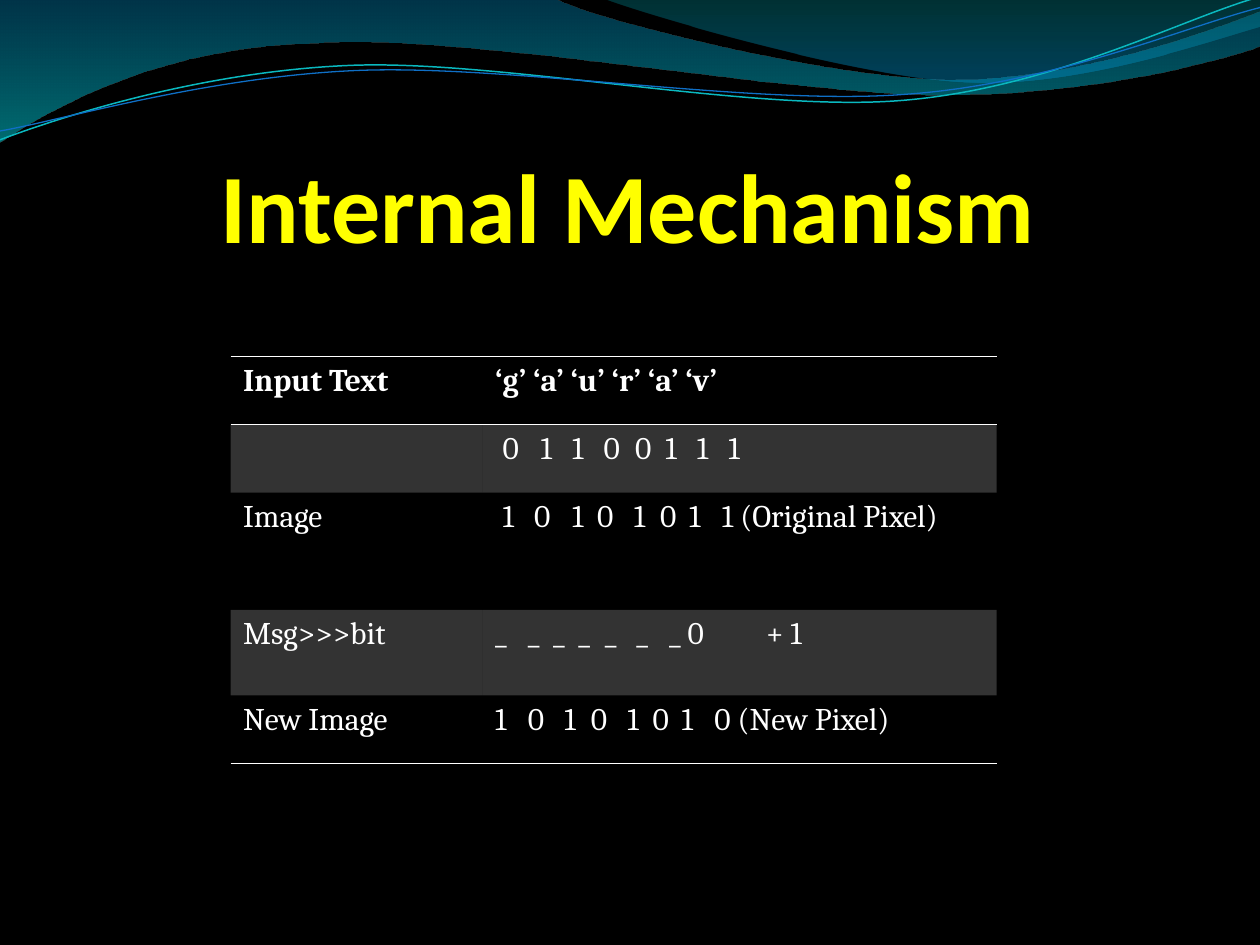
from dataclasses import dataclass

from lxml.etree import SubElement
from pptx import Presentation
from pptx.dml.color import RGBColor as RGB
from pptx.enum.text import MSO_ANCHOR as Anchor
from pptx.oxml import parse_xml
from pptx.oxml.ns import nsdecls, qn
from pptx.util import Inches, Pt

BLACK = RGB(0x00, 0x00, 0x00)
WHITE = RGB(0xFF, 0xFF, 0xFF)
YELLOW = RGB(0xFF, 0xFF, 0x00)
DEEP_BLUE = RGB(0x00, 0x74, 0xA1)
AQUA = RGB(0x00, 0xC6, 0xCF)
TEAL = RGB(0x00, 0xA1, 0xA9)
SEA_BLUE = RGB(0x00, 0x8B, 0xBF)
CYAN_LINE = RGB(0x0A, 0xB8, 0xBF)
BLUE_LINE = RGB(0x0F, 0x6F, 0xC6)

NO_GRID_STYLE = "{2D5ABB26-0587-4C30-8999-92F81FD0307C}"


def set_alpha(color_element, percent):
    SubElement(color_element, qn("a:alpha")).set("val", str(percent * 1000))


@dataclass
class SlideBuilder:
    slide: object
    title_font: str = "Calibri"
    body_font: str = "Cambria"
    body_size: int = 18

    def background(self, color):
        fill = self.slide.background.fill
        fill.solid()
        fill.fore_color.rgb = color

    def outline(self, start, segments, close):
        """A segment holds one point (a line) or three (a cubic curve)."""
        pen = self.slide.shapes.build_freeform(*map(Inches, start))
        pen.add_line_segments(
            [(Inches(x), Inches(y)) for segment in segments for x, y in segment], close=close)
        shape = pen.convert_to_shape()
        shape.shadow.inherit = False
        # Join each group of three points into one curve
        lines = iter(list(shape._element.spPr.iter(qn("a:lnTo"))))
        for segment in segments:
            group = [next(lines) for _ in segment]
            if len(group) == 3:
                curve = parse_xml(f'<a:cubicBezTo {nsdecls("a")}/>')
                group[0].addprevious(curve)
                for line in group:
                    curve.append(line[0])
                    line.getparent().remove(line)
        return shape

    def ribbon(self, start, segments, stops):
        shape = self.outline(start, segments, close=True)
        shape.line.fill.background()
        shape.fill.gradient()
        shape.fill.gradient_angle = 270
        for stop, (position, color, _) in zip(shape.fill.gradient_stops, stops):
            stop.position = position
            stop.color.rgb = color
        colors = shape._element.spPr.iter(qn("a:srgbClr"))
        for color_element, (_, _, opacity) in zip(list(colors), stops):
            set_alpha(color_element, opacity)

    def wave(self, start, segments, color, width):
        shape = self.outline(start, segments, close=False)
        shape.fill.background()
        shape.line.color.rgb = color
        shape.line.width = Pt(width)

    def run(self, paragraph, text, font, size, color, bold=False):
        run = paragraph.add_run()
        run.text = text
        run.font.name = font
        run.font.size = Pt(size)
        run.font.bold = bold
        run.font.color.rgb = color

    def title(self, text, left, top, width, height):
        frame = self.slide.shapes.add_textbox(
            Inches(left), Inches(top), Inches(width), Inches(height)).text_frame
        frame.word_wrap = True
        frame.vertical_anchor = Anchor.BOTTOM
        frame.margin_left = frame.margin_right = frame.margin_top = frame.margin_bottom = 0
        self.run(frame.paragraphs[0], text, self.title_font, 56, YELLOW, bold=True)

    def tab_stops(self, paragraph, stops):
        tabs = SubElement(paragraph._p.get_or_add_pPr(), qn("a:tabLst"))
        for stop in stops:
            SubElement(tabs, qn("a:tab"), pos=str(Inches(stop)), algn="l")

    def border(self, cell, side):
        cell._tc.get_or_add_tcPr().insert(0, parse_xml(
            f'<a:{side} {nsdecls("a")} w="{Pt(1)}"><a:solidFill>'
            f'<a:srgbClr val="{WHITE}"/></a:solidFill></a:{side}>'))

    def cell(self, cell, text, stops, bold, banded):
        paragraph = cell.text_frame.paragraphs[0]
        if stops:
            self.tab_stops(paragraph, stops)
        if text:
            self.run(paragraph, text, self.body_font, self.body_size, WHITE, bold)
        if banded:
            cell.fill.solid()
            cell.fill.fore_color.rgb = WHITE
            set_alpha(next(cell._tc.tcPr.iter(qn("a:srgbClr"))), 20)
        else:
            cell.fill.background()

    def table(self, left, top, widths, heights, rows):
        table = self.slide.shapes.add_table(
            len(rows), len(widths), Inches(left), Inches(top),
            Inches(sum(widths)), Inches(sum(heights))).table
        table.first_row = table.horz_banding = False
        table._tbl.tblPr.find(qn("a:tableStyleId")).text = NO_GRID_STYLE
        for column, width in zip(table.columns, widths):
            column.width = Inches(width)
        for index, (label, value, stops) in enumerate(rows):
            table.rows[index].height = Inches(heights[index])
            header, last = index == 0, index == len(rows) - 1
            for cell, text, tabs in zip(table.rows[index].cells, (label, value), ((), stops)):
                self.cell(cell, text, tabs, bold=header, banded=index % 2 == 1)
                if header or last:
                    self.border(cell, "lnB")
                if header:
                    self.border(cell, "lnT")


def main():
    deck = Presentation()
    deck.slide_width, deck.slide_height = Inches(10), Inches(7.5)
    builder = SlideBuilder(deck.slides.add_slide(deck.slide_layouts[6]))
    builder.background(BLACK)

    # Ribbons along the top edge
    builder.ribbon(
        (0, 0),
        [[(4.4, -0.01)],
         [(4.76, 0.17), (6.64, 0.63), (7.58, 0.63)],
         [(8.53, 0.63), (9.58, 0.26), (10, 0.09)], [(10.01, 0.36)],
         [(9.83, 0.44), (8.7, 0.76), (7.46, 0.75)],
         [(6.22, 0.75), (3.82, 0.28), (2.57, 0.34)],
         [(1.29, 0.36), (0.46, 0.83), (-0.01, 1.13)]],
        [(0, DEEP_BLUE, 45), (1, AQUA, 55)])
    builder.ribbon(
        (4.79, -0.01),
        [[(5.09, 0.11), (6.82, 0.62), (7.69, 0.65)],
         [(8.56, 0.69), (9.61, 0.32), (10, 0.21)], [(10, 0)]],
        [(0, TEAL, 30), (0.8, SEA_BLUE, 45)])

    # Thin waves below the ribbons
    builder.wave(
        (0, 1.11),
        [[(0.48, 0.93), (1.58, 0.57), (2.77, 0.52)],
         [(3.95, 0.47), (5.93, 0.89), (7.13, 0.8)],
         [(8.33, 0.71), (9.38, 0.15), (9.98, -0.02)]], CYAN_LINE, 0.85)
    builder.wave(
        (0, 1.04),
        [[(0.47, 0.96), (1.64, 0.61), (2.83, 0.56)],
         [(4.03, 0.51), (5.97, 0.84), (7.17, 0.75)],
         [(8.36, 0.67), (9.41, 0.21), (10, 0.06)]], BLUE_LINE, 0.75)

    # Title
    builder.title("Internal Mechanism", 1.75, 0.83, 6.59, 1.26)

    # Bit table: label, value, tab stops of the bits
    builder.table(1.83, 2.83, (2, 4.08), (0.54, 0.54, 0.93, 0.68, 0.54), [
        ("Input Text", "‘g’ ‘a’ ‘u’ ‘r’ ‘a’ ‘v’", ()),
        ("", "\t0\t1\t1\t0\t0\t1\t1\t1",
         (0.06, 0.36, 0.61, 0.86, 1.11, 1.35, 1.6, 1.85)),
        ("Image", "\t1\t0\t1\t0\t1\t0\t1\t1 (Original Pixel)",
         (0.06, 0.31, 0.61, 0.81, 1.1, 1.31, 1.54, 1.8)),
        ("Msg>>>bit", "_\t_\t_\t_\t_\t_\t_ 0\t+ 1",
         (0.26, 0.46, 0.66, 0.87, 1.12, 1.38, 2.15)),
        ("New Image", "1\t0\t1\t0\t1\t0\t1\t0 (New Pixel)",
         (0.26, 0.55, 0.76, 1.05, 1.25, 1.48, 1.74)),
    ])

    deck.save("out.pptx")


if __name__ == "__main__":
    main()
